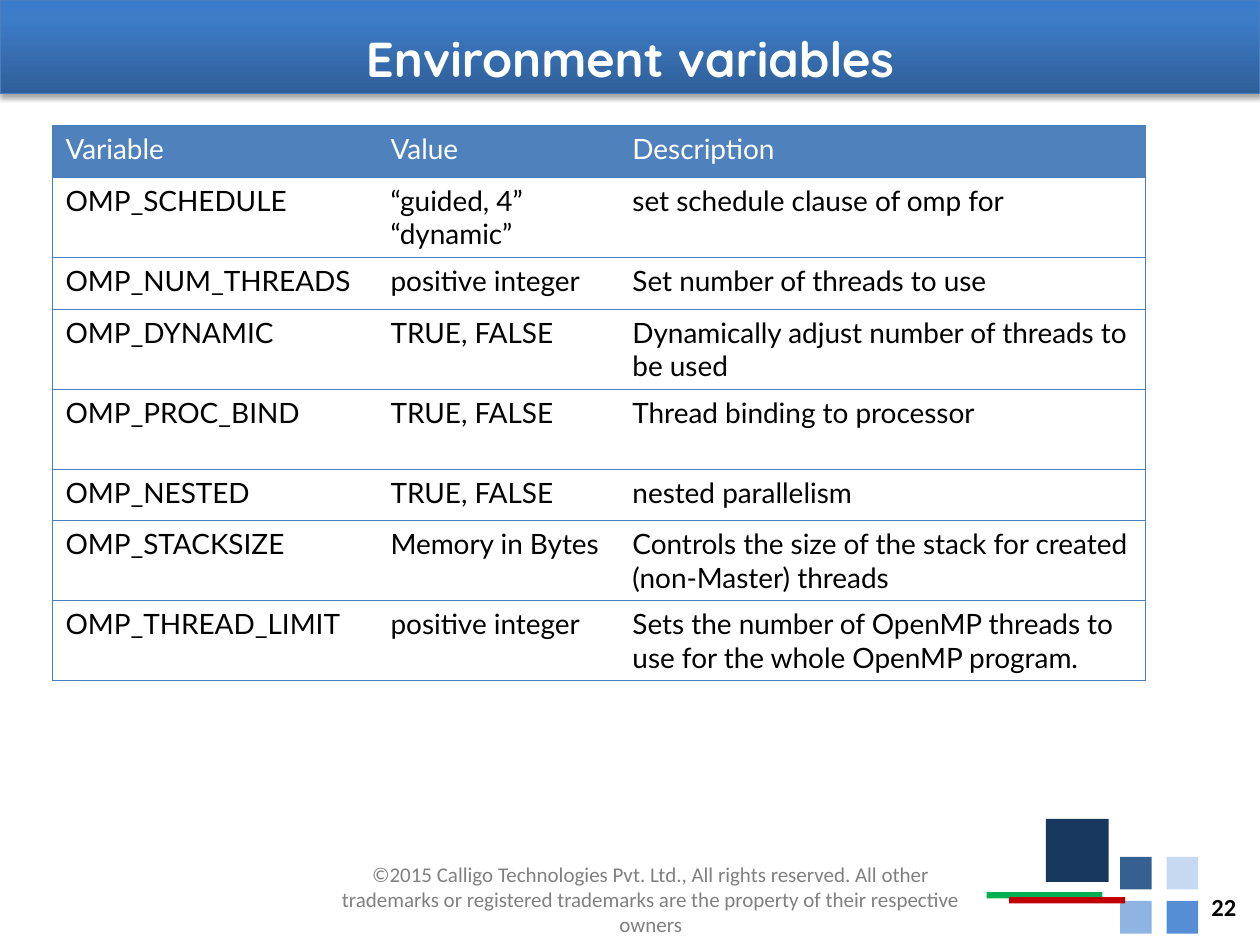
from lxml.etree import SubElement
from pptx import Presentation
from pptx.dml.color import RGBColor
from pptx.enum.shapes import MSO_SHAPE
from pptx.enum.text import MSO_ANCHOR, PP_ALIGN
from pptx.oxml import parse_xml
from pptx.oxml.ns import nsdecls, qn
from pptx.util import Inches, Pt

TITLE = "Environment variables"
FOOTER = ("©2015 Calligo Technologies Pvt. Ltd., All rights reserved. All other "
          "trademarks or registered trademarks are the property of their respective owners")
PAGE = "22"
ROWS = [
    ("Variable", "Value", "Description"),
    ("OMP_SCHEDULE", "“guided, 4” “dynamic”", "set schedule clause of omp for"),
    ("OMP_NUM_THREADS", "positive integer", "Set number of threads to use"),
    ("OMP_DYNAMIC", "TRUE, FALSE", "Dynamically adjust number of threads to be used"),
    ("OMP_PROC_BIND", "TRUE, FALSE", "Thread binding to processor"),
    ("OMP_NESTED", "TRUE, FALSE", "nested parallelism"),
    ("OMP_STACKSIZE", "Memory in Bytes",
     "Controls the size of the stack for created (non-Master) threads"),
    ("OMP_THREAD_LIMIT", "positive integer",
     "Sets the number of OpenMP threads to use for the whole OpenMP program."),
]
COL_WIDTHS = (2.58, 1.92, 4.17)
SINGLE, DOUBLE = 0.41, 0.635
TALL_ROWS = {1, 3, 4, 6, 7}
TILES = [("376092", "C6D9F1"), ("8EB4E3", "558ED5")]
BARS = [(7.83, 7.08, "00B050"), (8.01, 7.12, "C00000")]
BLUE, HEADER_FILL = "4B7EBC", "4F81BD"
TITLE_STOPS = [(0, "2F5F99"), (80, "3D7CC7"), (100, "3A7CCB")]

prs = Presentation()
prs.slide_width, prs.slide_height = Inches(10), Inches(7.5)
s = prs.slides.add_slide(prs.slide_layouts[6])


def rgb(hex_color):
    return RGBColor.from_string(hex_color)


def write(tf, text, size, font, color, align=PP_ALIGN.LEFT, anchor=MSO_ANCHOR.TOP, bold=False):
    tf.text = text
    tf.word_wrap = True
    tf.vertical_anchor = anchor
    p = tf.paragraphs[0]
    p.alignment = align
    f = p.runs[0].font
    f.size, f.name, f.bold = Pt(size), font, bold
    f.color.rgb = rgb(color)


def text_box(x, y, w, h, *args, **kwargs):
    write(s.shapes.add_textbox(*map(Inches, (x, y, w, h))).text_frame, *args, **kwargs)


def block(x, y, w, h, color):
    sp = s.shapes.add_shape(MSO_SHAPE.RECTANGLE, *map(Inches, (x, y, w, h)))
    sp.shadow.inherit = False
    sp.fill.solid()
    sp.fill.fore_color.rgb = rgb(color)
    sp.line.fill.background()
    return sp


def title_bar():
    sp = block(0, 0, 10, 0.74, BLUE)
    sp.line.color.rgb = rgb(BLUE)
    sp.line.width = Pt(0.75)
    spPr = sp.element.spPr
    stops = "".join(f'<a:gs pos="{pos * 1000}"><a:srgbClr val="{c}"/></a:gs>'
                    for pos, c in TITLE_STOPS)
    spPr.replace(spPr.find(qn("a:solidFill")), parse_xml(
        f'<a:gradFill {nsdecls("a")} rotWithShape="1"><a:gsLst>{stops}</a:gsLst>'
        '<a:lin ang="16200000" scaled="0"/></a:gradFill>'))
    spPr.find(qn("a:effectLst")).append(parse_xml(
        f'<a:outerShdw {nsdecls("a")} blurRad="{Pt(3.1)}" dist="{Pt(1.8)}" dir="5400000" '
        'rotWithShape="0"><a:srgbClr val="000000"><a:alpha val="35000"/></a:srgbClr>'
        '</a:outerShdw>'))
    write(sp.text_frame, TITLE, 28, "Quicksand", "FFFFFF",
          PP_ALIGN.CENTER, MSO_ANCHOR.BOTTOM, True)


def set_borders(cell, visible):
    """Draw the sides named in visible and blank the others."""
    tcPr = cell._tc.get_or_add_tcPr()
    for i, side in enumerate("LRTB"):
        ln = parse_xml(f'<a:ln{side} {nsdecls("a")} w="{Pt(0.75)}"/>')
        if side in visible:
            SubElement(SubElement(ln, qn("a:solidFill")), qn("a:srgbClr")).set("val", BLUE)
        else:
            SubElement(ln, qn("a:noFill"))
        tcPr.insert(i, ln)


def variable_table():
    heights = [DOUBLE if i in TALL_ROWS else SINGLE for i in range(len(ROWS))]
    frame = s.shapes.add_table(len(ROWS), len(COL_WIDTHS), Inches(0.42), Inches(1),
                               Inches(sum(COL_WIDTHS)), Inches(sum(heights)))
    table = frame.table
    table.first_row = table.horz_banding = False
    for col, w in zip(table.columns, COL_WIDTHS):
        col.width = Inches(w)
    for r, (row, h) in enumerate(zip(ROWS, heights)):
        table.rows[r].height = Inches(h)
        for c, text in enumerate(row):
            cell = table.cell(r, c)
            write(cell.text_frame, text, 16, "Lato", "000000" if r else "FFFFFF")
            if r:
                cell.fill.background()
            else:
                cell.fill.solid()
                cell.fill.fore_color.rgb = rgb(HEADER_FILL)
            set_borders(cell, "TB" + {0: "L", len(row) - 1: "R"}.get(c, ""))


text_box(2.5, 6.75, 5.33, 0.77, FOOTER, 12, "Calibri", "808080",
         PP_ALIGN.CENTER, MSO_ANCHOR.MIDDLE)
block(8.3, 6.5, 0.5, 0.5, "17375E")
for r, colors in enumerate(TILES):
    for c, color in enumerate(colors):
        block(8.89 + 0.37 * c, 6.8 + 0.35 * r, 0.25, 0.26, color)
for x, y, color in BARS:
    block(x, y, 0.92, 0.05, color)
title_bar()
variable_table()
text_box(7.58, 7, 2.33, 0.4, PAGE, 14, "Calibri", "000000",
         PP_ALIGN.RIGHT, MSO_ANCHOR.MIDDLE, True)

prs.save("out.pptx")
